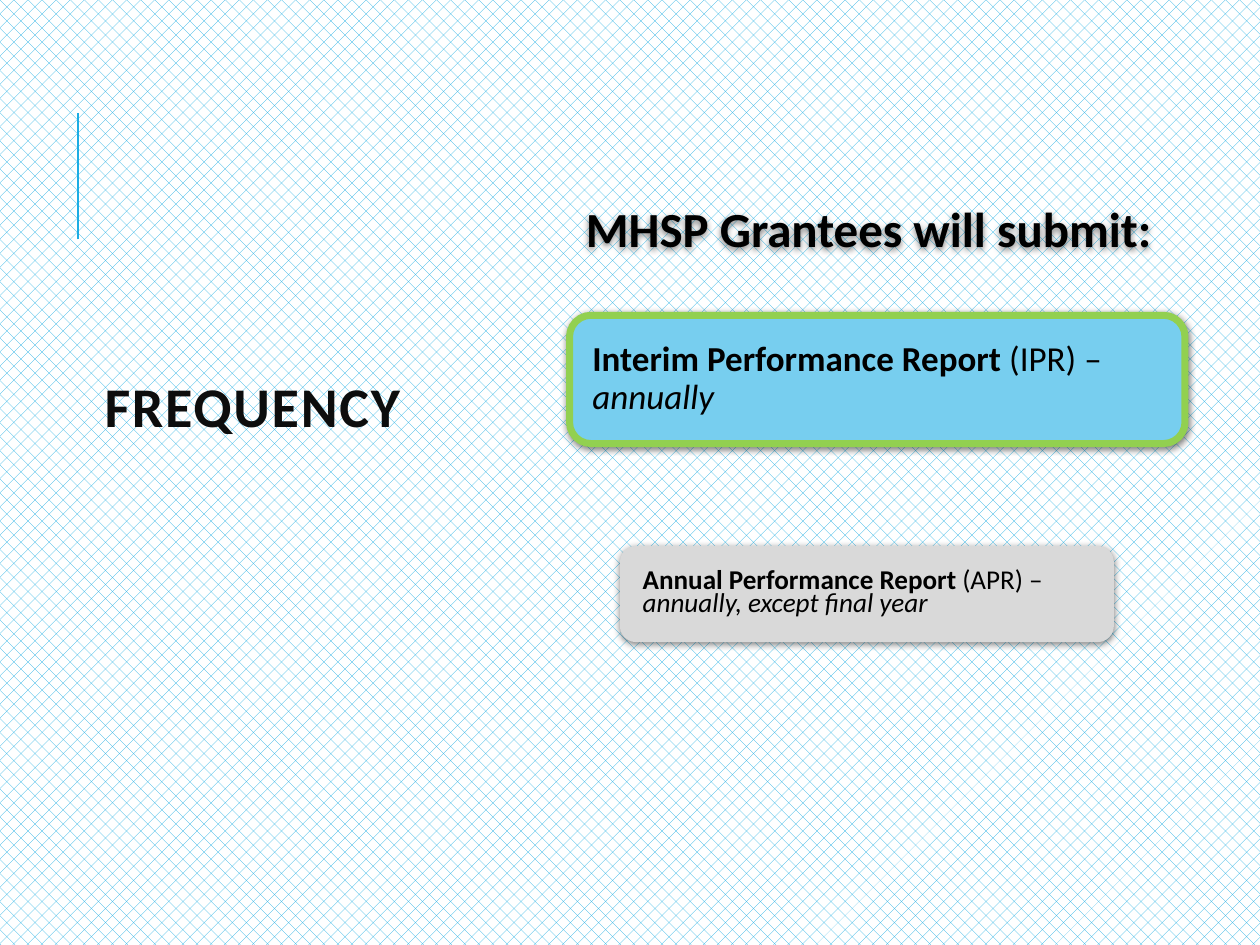
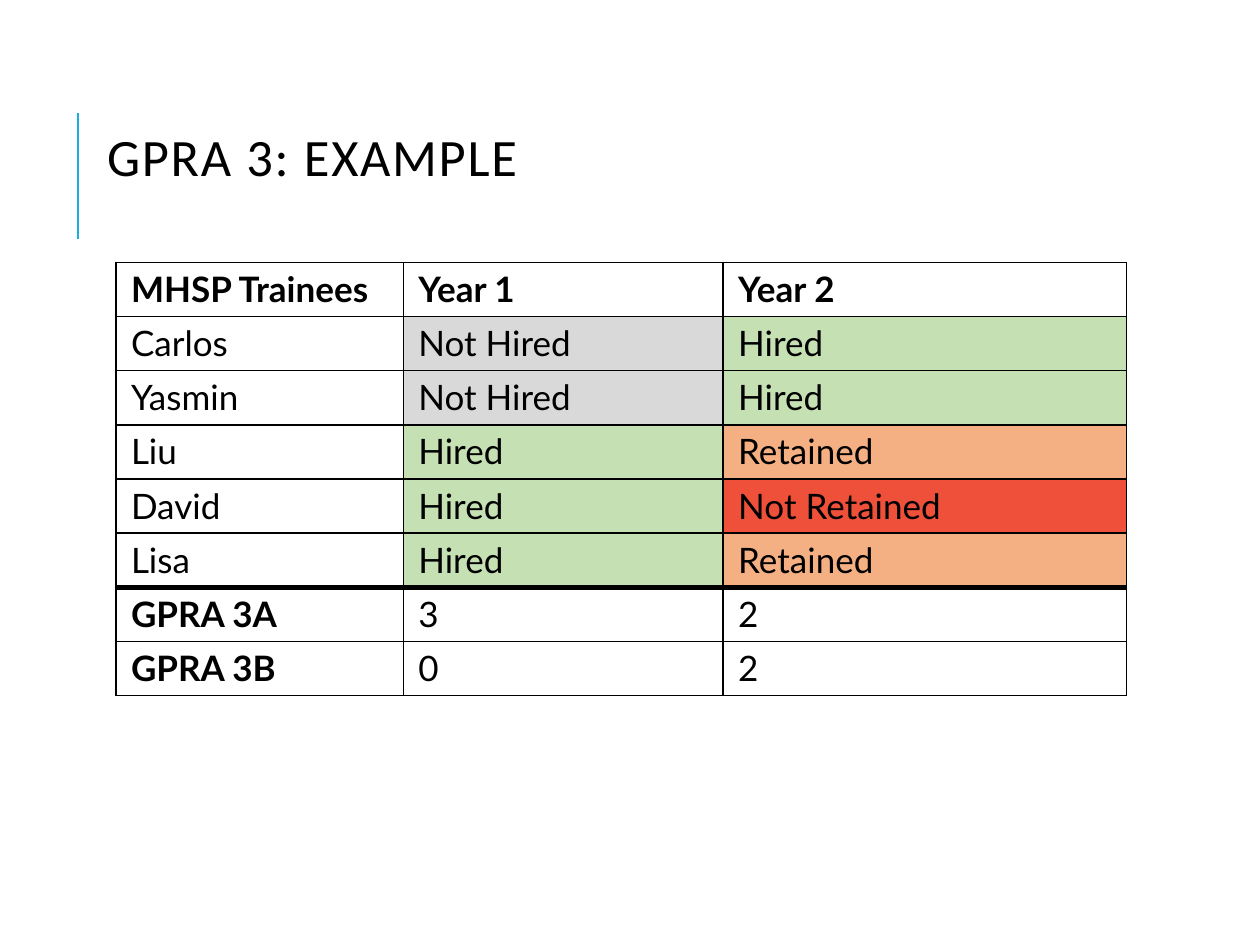
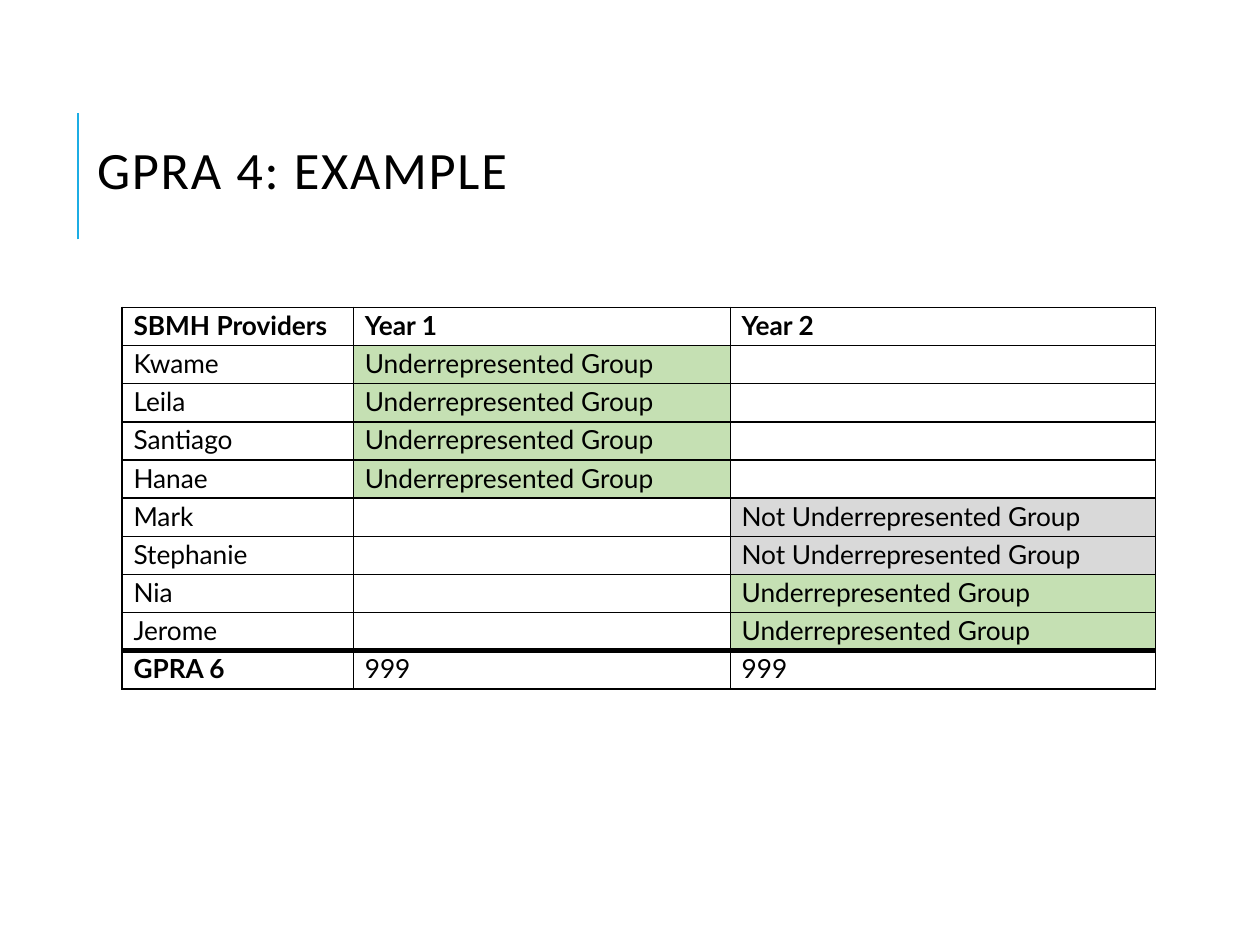
import pptx
import pptx.util
import pptx.dml.color
import pptx.enum.dml
import pptx.enum.shapes
import pptx.enum.text
import pptx.oxml.ns
from lxml import etree

Pt = pptx.util.Pt
RGBColor = pptx.dml.color.RGBColor
qn = pptx.oxml.ns.qn

# Colours and fonts
BLACK = RGBColor(0x00, 0x00, 0x00)
WHITE = RGBColor(0xFF, 0xFF, 0xFF)
NEAR_BLACK = RGBColor(0x0D, 0x0D, 0x0D)
ACCENT_BLUE = RGBColor(0x1C, 0xAD, 0xE4)
LIGHT_BLUE = RGBColor(0x77, 0xCE, 0xEF)
LIME = RGBColor(0x92, 0xD0, 0x50)
GREY = RGBColor(0xD9, 0xD9, 0xD9)
GREEN = RGBColor(0xC5, 0xE0, 0xB3)
ORANGE = RGBColor(0xF4, 0xB0, 0x83)
RED = RGBColor(0xEE, 0x50, 0x3A)
TITLE_FONT = "Calibri"
TABLE_FONT = "Lato"

# Content
FREQUENCY_TITLE = {"text": "FREQUENCY", "box": (52.56, 138.24, 206.64, 193.68),
                   "format": {"size": Pt(32), "bold": True}, "color": NEAR_BLACK}

HEADING = {"box": (321.12, 90, 351.36, 84.96), "size": 28, "spacing": 0.9,
           "runs": [("MHSP Grantees will submit:", {"bold": True})]}

REPORTS = [
    {"box": (354.24, 312, 282.24, 54.9), "size": 15.5, "spacing": 0.7,
     "fill": GREY, "line": None,
     "runs": [("Annual Performance Report ", {"bold": True}), ("(APR) – ", {}),
              ("annually, except final year", {"italic": True})]},
    {"box": (325.44, 180.2, 351.7, 73.3), "size": 20, "spacing": 0.9,
     "fill": LIGHT_BLUE, "line": LIME,
     "runs": [("Interim Performance Report ", {"bold": True}), ("(IPR) – ", {}),
              ("annually", {"italic": True})]},
]

STATUS_FILLS = {
    "Not Hired": GREY, "Hired": GREEN, "Retained": ORANGE, "Not Retained": RED,
    "Underrepresented Group": GREEN, "Not Underrepresented Group": GREY,
}

EXAMPLES = [
    {"title": {"text": "GPRA 3: EXAMPLE", "box": (54, 66.24, 593.28, 51.84)},
     "left": 66.24, "top": 149.9, "columns": (164.2, 182.8, 230.4), "row_height": 30.96,
     "size": 20, "margins": {"margin_left": 8.64, "margin_right": 8.64, "margin_top": 1.44},
     "header": ("MHSP Trainees", "Year 1", "Year 2"),
     "people": [
         ("Carlos", "Not Hired", "Hired"),
         ("Yasmin", "Not Hired", "Hired"),
         ("Liu", "Hired", "Retained"),
         ("David", "Hired", "Not Retained"),
         ("Lisa", "Hired", "Retained")],
     "totals": [("GPRA 3A", "3", "2"), ("GPRA 3B", "0", "2")]},
    {"title": {"text": "GPRA 4: EXAMPLE", "box": (48.24, 53.28, 573.84, 92.88)},
     "left": 69.84, "top": 175.68, "columns": (132.2, 215.3, 242.9), "row_height": 21.8,
     "size": 15, "margins": {"margin_left": 6.48, "margin_right": 6.48, "margin_top": 0},
     "header": ("SBMH Providers", "Year 1", "Year 2"),
     "people": [
         ("Kwame", "Underrepresented Group", ""),
         ("Leila", "Underrepresented Group", ""),
         ("Santiago", "Underrepresented Group", ""),
         ("Hanae", "Underrepresented Group", ""),
         ("Mark", "", "Not Underrepresented Group"),
         ("Stephanie", "", "Not Underrepresented Group"),
         ("Nia", "", "Underrepresented Group"),
         ("Jerome", "", "Underrepresented Group")],
     "totals": [("GPRA 6", "999", "999")]},
]


def apply_format(target, values):
    for name, value in values.items():
        setattr(target, name, value)


def add_run(paragraph, text, color=BLACK, **values):
    run = paragraph.add_run()
    run.text = text
    apply_format(run.font, values)
    run.font.color.rgb = color
    return run


def add_solid_color(parent, color):
    solid = etree.SubElement(parent, qn("a:solidFill"))
    return etree.SubElement(solid, qn("a:srgbClr"), val=str(color))


# Shared slide parts: accent line and title
def start_slide(presentation, title):
    slide = presentation.slides.add_slide(presentation.slide_layouts[5])
    accent = slide.shapes.add_connector(
        pptx.enum.shapes.MSO_CONNECTOR.STRAIGHT, Pt(44.64), Pt(136.8), Pt(44.64), Pt(64.8))
    accent.line.color.rgb = ACCENT_BLUE
    accent.line.width = Pt(1.5)
    etree.SubElement(accent._element.spPr, qn("a:effectLst"))

    shape = slide.shapes.title
    apply_format(shape, dict(zip(("left", "top", "width", "height"), map(Pt, title["box"]))))
    apply_format(shape.text_frame, {
        "auto_size": pptx.enum.text.MSO_AUTO_SIZE.NONE, "word_wrap": True,
        "vertical_anchor": pptx.enum.text.MSO_ANCHOR.MIDDLE})
    paragraph = shape.text_frame.paragraphs[0]
    apply_format(paragraph, {"alignment": pptx.enum.text.PP_ALIGN.LEFT, "line_spacing": 0.8})
    values = {"name": TITLE_FONT, "size": Pt(30), "bold": False, **title.get("format", {})}
    run = add_run(paragraph, title["text"], title.get("color", BLACK), **values)
    run._r.get_or_add_rPr().set("spc", "100")
    return slide


def add_soft_shadow(shape):
    shape.shadow.inherit = False
    effects = shape._element.spPr.find(qn("a:effectLst"))
    shadow = etree.SubElement(effects, qn("a:outerShdw"), blurRad=str(Pt(4)), dist=str(Pt(1)),
                              dir="5400000", algn="ctr", rotWithShape="0")
    color = etree.SubElement(shadow, qn("a:srgbClr"), val=str(BLACK))
    etree.SubElement(color, qn("a:alpha"), val="50000")


def fill_text(shape, content, inset):
    frame = shape.text_frame
    apply_format(frame, {
        "word_wrap": True, "vertical_anchor": pptx.enum.text.MSO_ANCHOR.MIDDLE,
        **{f"margin_{side}": Pt(inset) for side in ("left", "top", "right", "bottom")}})
    paragraph = frame.paragraphs[0]
    apply_format(paragraph, {"alignment": pptx.enum.text.PP_ALIGN.LEFT,
                             "line_spacing": content["spacing"]})
    for text, values in content["runs"]:
        add_run(paragraph, text, name=TITLE_FONT, size=Pt(content["size"]), **values)


def add_report(slide, report):
    shape = slide.shapes.add_shape(
        pptx.enum.shapes.MSO_SHAPE.ROUNDED_RECTANGLE, *map(Pt, report["box"]))
    shape.fill.solid()
    shape.fill.fore_color.rgb = report["fill"]
    if report["line"]:
        shape.line.color.rgb = report["line"]
        shape.line.width = Pt(4)
    else:
        shape.line.fill.background()
    add_soft_shadow(shape)
    # The rounded corners already push the text in by 0.29 of their radius
    corner_radius = report["box"][3] / 6
    fill_text(shape, report, round(13 - 0.29 * corner_radius, 2))


def build_frequency_slide(presentation):
    slide = start_slide(presentation, FREQUENCY_TITLE)
    background = slide.background.fill
    background.patterned()
    background.pattern = pptx.enum.dml.MSO_PATTERN.PERCENT_25
    background.fore_color.rgb = ACCENT_BLUE
    background.back_color.rgb = WHITE

    heading = slide.shapes.add_textbox(*map(Pt, HEADING["box"]))
    add_soft_shadow(heading)
    fill_text(heading, HEADING, 13.68)
    for report in REPORTS:
        add_report(slide, report)


# Example tables
def set_borders(cell, top, bottom):
    properties = cell._tc.get_or_add_tcPr()
    for tag, width in (("lnL", 1), ("lnR", 1), ("lnT", top), ("lnB", bottom)):
        border = etree.SubElement(properties, qn(f"a:{tag}"), w=str(Pt(width)))
        add_solid_color(border, BLACK)


def build_example_slide(presentation, example):
    slide = start_slide(presentation, example["title"])
    rows = [example["header"], *example["people"], *example["totals"]]
    first_total = len(rows) - len(example["totals"])
    widths = example["columns"]
    table = slide.shapes.add_table(
        len(rows), len(widths), Pt(example["left"]), Pt(example["top"]),
        Pt(sum(widths)), Pt(example["row_height"] * len(rows))).table
    apply_format(table, {"first_row": False, "horz_banding": False})
    for column, width in zip(table.columns, widths):
        column.width = Pt(width)

    for row_index, texts in enumerate(rows):
        table.rows[row_index].height = Pt(example["row_height"])
        for column_index, text in enumerate(texts):
            cell = table.cell(row_index, column_index)
            apply_format(cell, {name: Pt(value) for name, value in example["margins"].items()})
            cell.margin_bottom = 0
            set_borders(cell, top=3 if row_index == first_total else 1,
                        bottom=3 if row_index == first_total - 1 else 1)
            if text in STATUS_FILLS:
                cell.fill.solid()
                cell.fill.fore_color.rgb = STATUS_FILLS[text]
            else:
                cell.fill.background()
            paragraph = cell.text_frame.paragraphs[0]
            paragraph.line_spacing = 1.07
            is_label = row_index == 0 or (row_index >= first_total and column_index == 0)
            add_run(paragraph, text, name=TABLE_FONT, size=Pt(example["size"]), bold=is_label)


def main():
    presentation = pptx.Presentation()
    presentation.slide_width = Pt(720)
    presentation.slide_height = Pt(540)
    build_frequency_slide(presentation)
    for example in EXAMPLES:
        build_example_slide(presentation, example)
    presentation.save("out.pptx")


if __name__ == "__main__":
    main()
